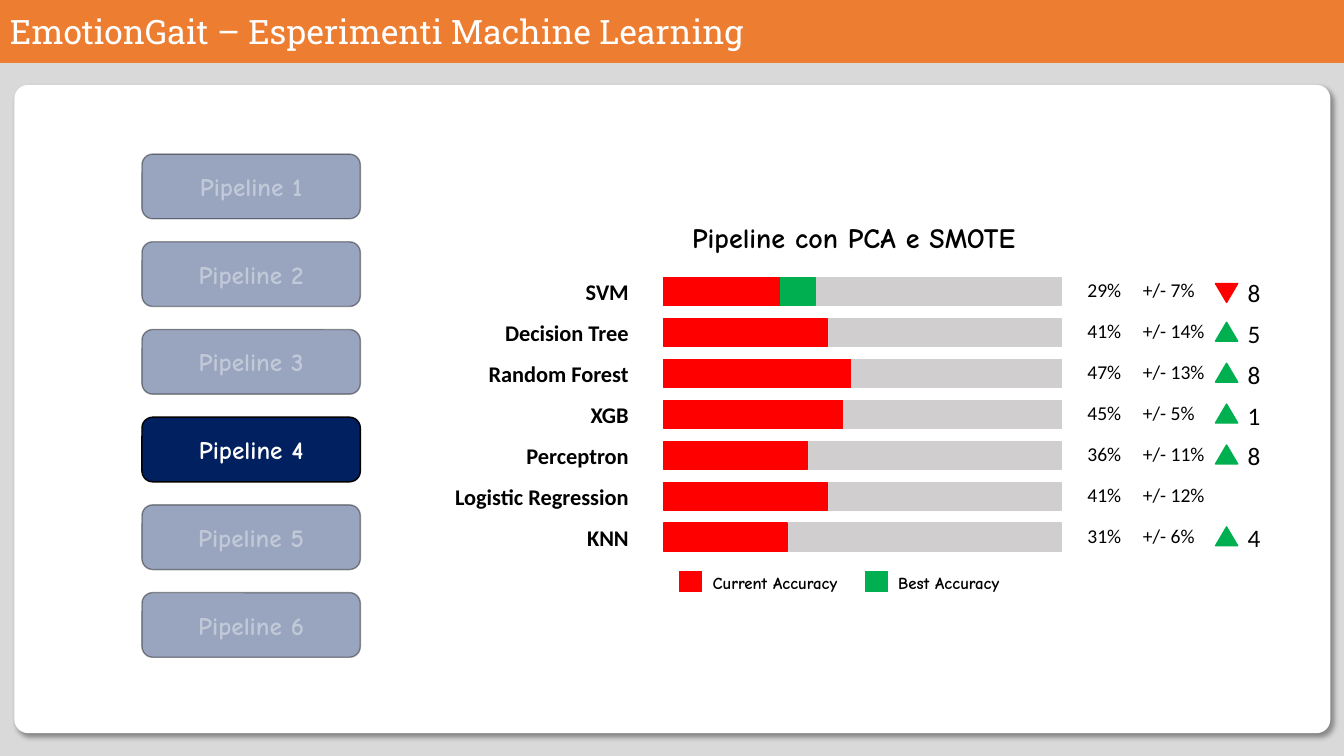
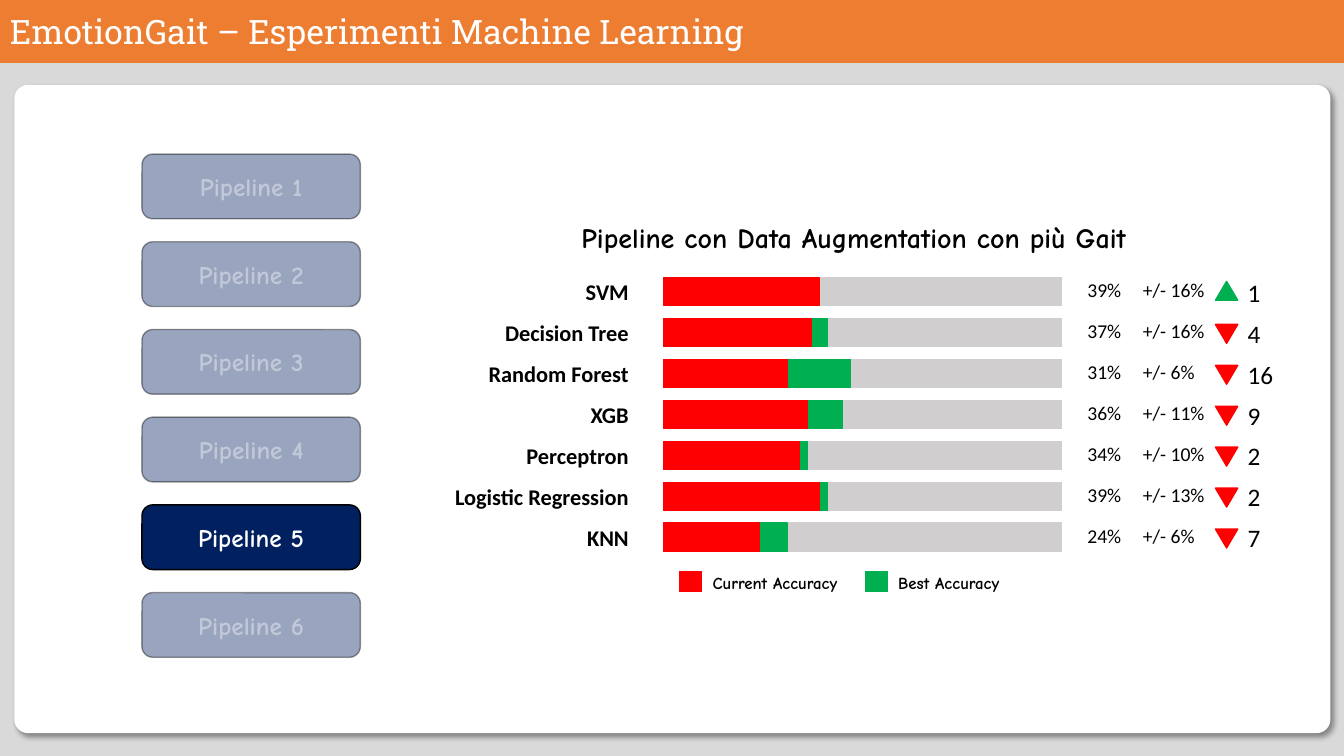
from dataclasses import dataclass

from lxml.etree import SubElement
from pptx import Presentation
from pptx.dml.color import RGBColor
from pptx.enum.shapes import MSO_SHAPE as SHAPE
from pptx.enum.text import MSO_ANCHOR as ANCHOR, PP_ALIGN as ALIGN
from pptx.oxml.ns import qn
from pptx.util import Emu, Pt

COLS, ROWS, UNIT = 160, 90, 76200
C = {"page": "D9D9D9", "white": "FFFFFF", "black": "000000", "band": "ED7D31",
     "navy": "002060", "track": "D0CECE", "red": "FF0000", "green": "00B050"}
BODY, HAND, SLAB = "Calibri", "Comic Neue", "Roboto Slab"

HEADING = "EmotionGait – Esperimenti Machine Learning"
MODELS = ("SVM", "Decision Tree", "Random Forest", "XGB", "Perceptron",
          "Logistic Regression", "KNN")
BEST = (38, 41, 47, 45, 36, 41, 31)
EXPERIMENTS = [
    (4, "Pipeline con PCA e SMOTE",
     ((29, 7, -8), (41, 14, 5), (47, 13, 8), (45, 5, 1), (36, 11, 8),
      (41, 12, 0), (31, 6, 4))),
    (5, "Pipeline con Data Augmentation con più Gait",
     ((39, 16, 1), (37, 16, -4), (31, 6, -16), (36, 11, -9), (34, 10, -2),
      (39, 13, -2), (24, 6, -7))),
]


@dataclass
class Box:
    x: float
    y: float
    w: float
    h: float

    def sub(self, x, y, w, h):
        return Box(self.x + x, self.y + y, w, h)

    def emu(self):
        return [Emu(round(v * UNIT)) for v in (self.x, self.y, self.w, self.h)]


def rgb(name):
    return RGBColor.from_string(C[name])


def write(tf, text, size, font=BODY, color="black", bold=False, align=ALIGN.LEFT):
    tf.text = text
    p = tf.paragraphs[0]
    p.alignment = align
    for r in p.runs:
        r.font.size, r.font.name, r.font.bold = Pt(size), font, bold
        r.font.color.rgb = rgb(color)


def add_shape(s, kind, box, fill, line=None):
    sp = s.shapes.add_shape(kind, *box.emu())
    sp.shadow.inherit = False
    sp.fill.solid()
    sp.fill.fore_color.rgb = rgb(fill)
    sp.line.color.rgb = rgb(line or fill)
    sp.line.width = Pt(1)
    return sp


def add_text(s, box, text, size, **style):
    tf = s.shapes.add_textbox(*box.emu()).text_frame
    tf.word_wrap = True
    write(tf, text, size, **style)


def set_alpha(element, percent):
    for clr in element.iter(qn("a:srgbClr")):
        SubElement(clr, qn("a:alpha"), val=str(percent * 1000))


def cast_shadow(sp):
    effects = sp._element.spPr.find(qn("a:effectLst"))
    shadow = SubElement(effects, qn("a:outerShdw"), blurRad=str(Pt(4)),
                        dist=str(Pt(3)), dir=str(45 * 60000), algn="tl", rotWithShape="0")
    SubElement(shadow, qn("a:srgbClr"), val=C["black"])
    set_alpha(shadow, 40)


def add_frame(s, page):
    s.background.fill.solid()
    s.background.fill.fore_color.rgb = rgb("page")
    card = add_shape(s, SHAPE.ROUNDED_RECTANGLE, page.sub(1.8, 10.2, 156.5, 77), "white")
    card.adjustments[0] = 0.02
    cast_shadow(card)
    add_shape(s, SHAPE.RECTANGLE, page.sub(0, 0, page.w, 7.45), "band")
    add_text(s, page.sub(0, 0.7, 111.4, 6), HEADING, 24, font=SLAB, color="white")


def add_menu(s, box, active, count=6):
    height = 7.7
    pitch = (box.h - height) / (count - 1)
    for i in range(count):
        sp = add_shape(s, SHAPE.ROUNDED_RECTANGLE,
                       box.sub(0, i * pitch, box.w, height), "navy", "black")
        sp.text_frame.vertical_anchor = ANCHOR.MIDDLE
        write(sp.text_frame, f"Pipeline {i + 1}", 18, HAND, "white", True, ALIGN.CENTER)
        if i + 1 != active:
            set_alpha(sp._element, 40)


def add_table(s, box, results):
    t = s.shapes.add_table(len(results), 4, *box.emu()).table
    t.first_row = t.horz_banding = False
    for col, width in zip(t.columns, (24.1, 52.2, 6.6, 14.7)):
        col.width = Emu(round(width * UNIT))
    for i, (model, (accuracy, spread, _)) in enumerate(zip(MODELS, results)):
        cells = t.rows[i].cells
        for cell in cells:
            cell.fill.background()
        write(cells[0].text_frame, model, 16, bold=True, align=ALIGN.RIGHT)
        write(cells[2].text_frame, f"{accuracy}%", 14)
        write(cells[3].text_frame, f"+/- {spread}%", 14)


def add_bars(s, row, accuracy, best):
    track = row.sub(27.1, 0.4, 47.3, 3.35)
    levels = [(100, "track"), (best, "green"), (accuracy, "red")]
    for level, color in levels:
        if color != "green" or best > accuracy:
            add_shape(s, SHAPE.RECTANGLE,
                      track.sub(0, 0, track.w * level / 100, track.h), color)


def add_change(s, row, delta):
    up = delta > 0
    sp = add_shape(s, SHAPE.ISOSCELES_TRIANGLE,
                   row.sub(92.75, 0.85 if up else 1.1, 2.65, 2.25),
                   "green" if up else "red")
    sp.rotation = 0 if up else 180
    add_text(s, row.sub(95.4, -0.25, 6.2, 4.8), str(abs(delta)), 18)


def add_legend(s, box):
    entries = (("Current Accuracy", "red"), ("Best Accuracy", "green"))
    for i, (label, color) in enumerate(entries):
        entry = box.sub(i * box.w / 2, 0, box.w / 2, box.h)
        add_shape(s, SHAPE.RECTANGLE, entry.sub(0, 0.4, 2.65, 2.4), color)
        add_text(s, entry.sub(2.75, 0, 19.7, entry.h), label, 12, font=HAND, bold=True)


def add_scores(s, box, title, results):
    add_text(s, box.sub(9.2, 0, 81, 5.15), title, 20, font=HAND, bold=True,
             align=ALIGN.CENTER)
    grid = box.sub(0, 6.95, box.w, 34.1)
    add_table(s, grid, results)
    height = grid.h / len(results)
    for i, (accuracy, _, delta) in enumerate(results):
        row = grid.sub(0, i * height, grid.w, height)
        add_bars(s, row, accuracy, BEST[i])
        if delta:
            add_change(s, row, delta)
    add_legend(s, box.sub(28.95, 41.95, 44.2, 3.6))


def main():
    prs = Presentation()
    prs.slide_width, prs.slide_height = Emu(COLS * UNIT), Emu(ROWS * UNIT)
    page = Box(0, 0, COLS, ROWS)
    for active, title, results in EXPERIMENTS:
        s = prs.slides.add_slide(prs.slide_layouts[6])
        add_frame(s, page)
        add_menu(s, page.sub(16.9, 18.35, 26, 59.9), active)
        add_scores(s, page.sub(51.95, 25.7, 97.6, 45.55), title, results)
    prs.save("out.pptx")


if __name__ == "__main__":
    main()
